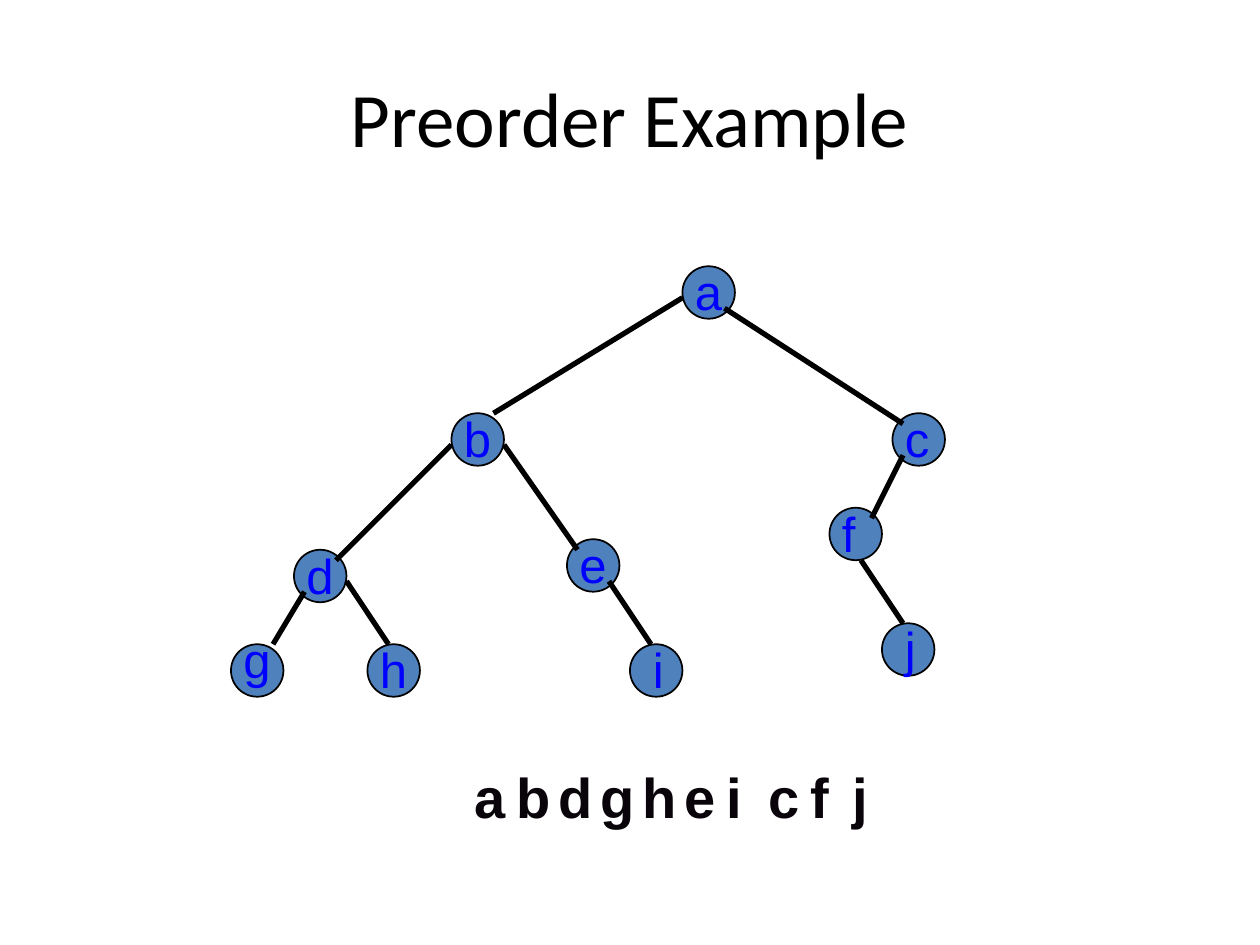
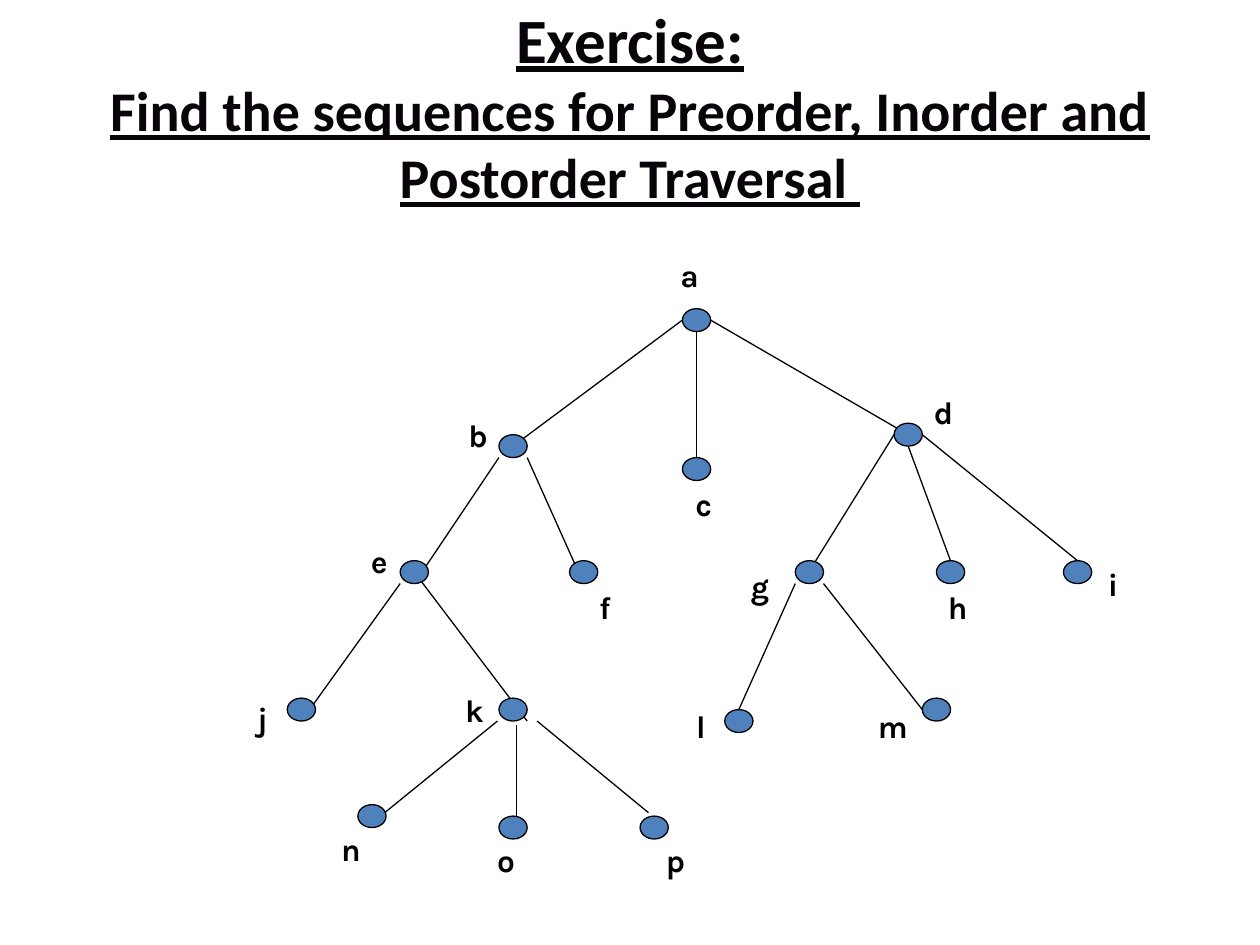
from collections import namedtuple

from lxml import etree
from pptx import Presentation
from pptx.dml.color import RGBColor
from pptx.enum.shapes import MSO_CONNECTOR, MSO_SHAPE
from pptx.enum.text import MSO_ANCHOR, PP_ALIGN
from pptx.oxml.ns import qn
from pptx.util import Inches, Pt

OVAL = MSO_SHAPE.OVAL
LINE = MSO_CONNECTOR.STRAIGHT
TOP, MIDDLE = MSO_ANCHOR.TOP, MSO_ANCHOR.MIDDLE
LEFT, CENTER = PP_ALIGN.LEFT, PP_ALIGN.CENTER

BLACK = RGBColor(0, 0, 0)
INK = RGBColor(0x09, 0x04, 0x09)
BLUE = RGBColor(0, 0, 0xFF)
STEEL = RGBColor(0x4F, 0x81, 0xBD)

# Grids: origin and step in inches, node size in cells
Grid = namedtuple("Grid", "left top col row size")
Font = namedtuple("Font", "name size color bold line", defaults=(False, False))

BIG = Grid(0, 0.03, 1 / 12, 1 / 12, 5)
SMALL = Grid(2.28, 2.45, 0.112, 1 / 11, 2)

# Binary tree: node cell, and label shift from it
BINARY = {
    "a": (65, 25), "b": (43, 39), "c": (85, 39), "d": (28, 52),
    "e": (54, 51), "f": (79, 48), "g": (22, 61), "h": (35, 61),
    "i": (60, 61), "j": (84, 59),
}
SHIFT = {"g": (0, -2), "i": (1, -1), "j": (1, -1)}
BRANCHES = [
    (65, 28, 47, 39), (69, 29, 86, 40), (43, 42, 32, 53),
    (48, 42, 55, 52), (29, 56, 26, 61), (33, 55, 37, 61),
    (58, 55, 62, 61), (86, 43, 83, 49), (82, 53, 86, 59),
]
ORDER = "abdgheicfj"

# General tree: node cell, then label cell
GENERAL = {
    "a": (28, 0, 24, -5), "b": (15, 11, 9, 9), "c": (28, 13, 25, 15),
    "d": (43, 10, 42, 7), "e": (8, 22, 2, 20), "f": (20, 22, 18, 24),
    "g": (36, 22, 29, 22.2), "h": (46, 22, 43, 24), "i": (55, 22, 54, 22),
    "j": (0, 34, -6.25, 33.7), "k": (15, 34, 8.75, 33),
    "l": (31, 35, 24.8, 34.4), "m": (45, 34, 38.4, 34.4),
    "n": (5, 43.3, 0, 45.1), "o": (15, 44.3, 11, 46.1),
    "p": (25, 44.3, 23, 46.1),
}
TWIGS = [
    (28, 1, 16, 12), (30, 1, 44, 11), (29, 2, 29, 13),
    (15, 13, 9, 24), (17, 13, 21, 24), (8, 24, 1, 36),
    (9, 23, 17, 36), (14.9, 36, 6.9, 44), (17.7, 36, 25.6, 44),
    (16.25, 36.3, 16.25, 44.3), (43, 11, 37, 22.9), (45, 11, 56, 22),
    (44, 12, 47, 22), (36, 24, 32, 35), (38, 24, 45, 35),
]


def place(grid, col, row):
    return grid.left + col * grid.col, grid.top + row * grid.row


def text(slide, box, runs, align=LEFT, anchor=TOP, wrap=True):
    """Put one paragraph in a box; a "\\n" run breaks the line."""
    frame = slide.shapes.add_textbox(*map(Inches, box)).text_frame
    frame.word_wrap, frame.vertical_anchor = wrap, anchor
    para = frame.paragraphs[0]
    para.alignment = align
    for words, style in runs:
        if words == "\n":
            para.add_line_break()
            continue
        run = para.add_run()
        run.text = words
        font = run.font
        font.name, font.size = style.name, Pt(style.size)
        font.bold, font.underline = style.bold, style.line
        font.color.rgb = style.color


def title(slide, top, height, runs):
    text(slide, (0.5, top, 9, height), runs, CENTER, MIDDLE)


def node(slide, grid, col, row, width):
    box = (*place(grid, col, row), grid.size * grid.col, grid.size * grid.row)
    dot = slide.shapes.add_shape(OVAL, *map(Inches, box))
    dot.shadow.inherit = False
    dot.fill.solid()
    dot.fill.fore_color.rgb = STEEL
    dot.line.color.rgb = BLACK
    dot.line.width = Pt(width)


def edge(slide, grid, cells, width):
    ends = place(grid, *cells[:2]) + place(grid, *cells[2:])
    line = slide.shapes.add_connector(LINE, *map(Inches, ends))
    line.line.color.rgb = BLACK
    line.line.width = Pt(width)
    etree.SubElement(line._element.spPr, qn("a:effectLst"))


def preorder(slide):
    title(slide, 0.3, 1.25,
          [("Preorder Example", Font("Calibri", 44, BLACK))])
    for cell in BINARY.values():
        node(slide, BIG, *cell, 1)
    for cells in BRANCHES:
        edge(slide, BIG, cells, 3)
    mark = Font("Arial", 28, BLUE)
    for name, (col, row) in BINARY.items():
        right, down = SHIFT.get(name, (0, -1))
        spot = place(BIG, col + right, row + down)
        text(slide, (*spot, 0.83, 0.57), [(name, mark)])

    # Visiting order, three letters to the inch
    bold = Font("Arial", 32, INK, True)
    for i, name in enumerate(ORDER):
        text(slide, (3.67 + i / 3, 6, 0.42, 0.64), [(name, bold)])


def exercise(slide):
    head = Font("Calibri", 36, INK, True, True)
    title(slide, 0.5, 0.67, [
        ("Exercise:", head),
        ("\n", head),
        ("Find the sequences for Preorder, Inorder and Postorder Traversal ",
         head._replace(size=32)),
    ])
    for cells in TWIGS:
        edge(slide, SMALL, cells, 0.75)
    mark = Font("Karla", 18, BLACK, True)
    for name, (col, row, *label) in GENERAL.items():
        node(slide, SMALL, col, row, 0.75)
        text(slide, (*place(SMALL, *label), 1.01, 0.37), [(name, mark)],
             CENTER, MIDDLE, False)


def main():
    deck = Presentation()
    deck.slide_width, deck.slide_height = Inches(10), Inches(7.5)
    blank = deck.slide_layouts[6]
    for build in (preorder, exercise):
        build(deck.slides.add_slide(blank))
    deck.save("out.pptx")


if __name__ == "__main__":
    main()
